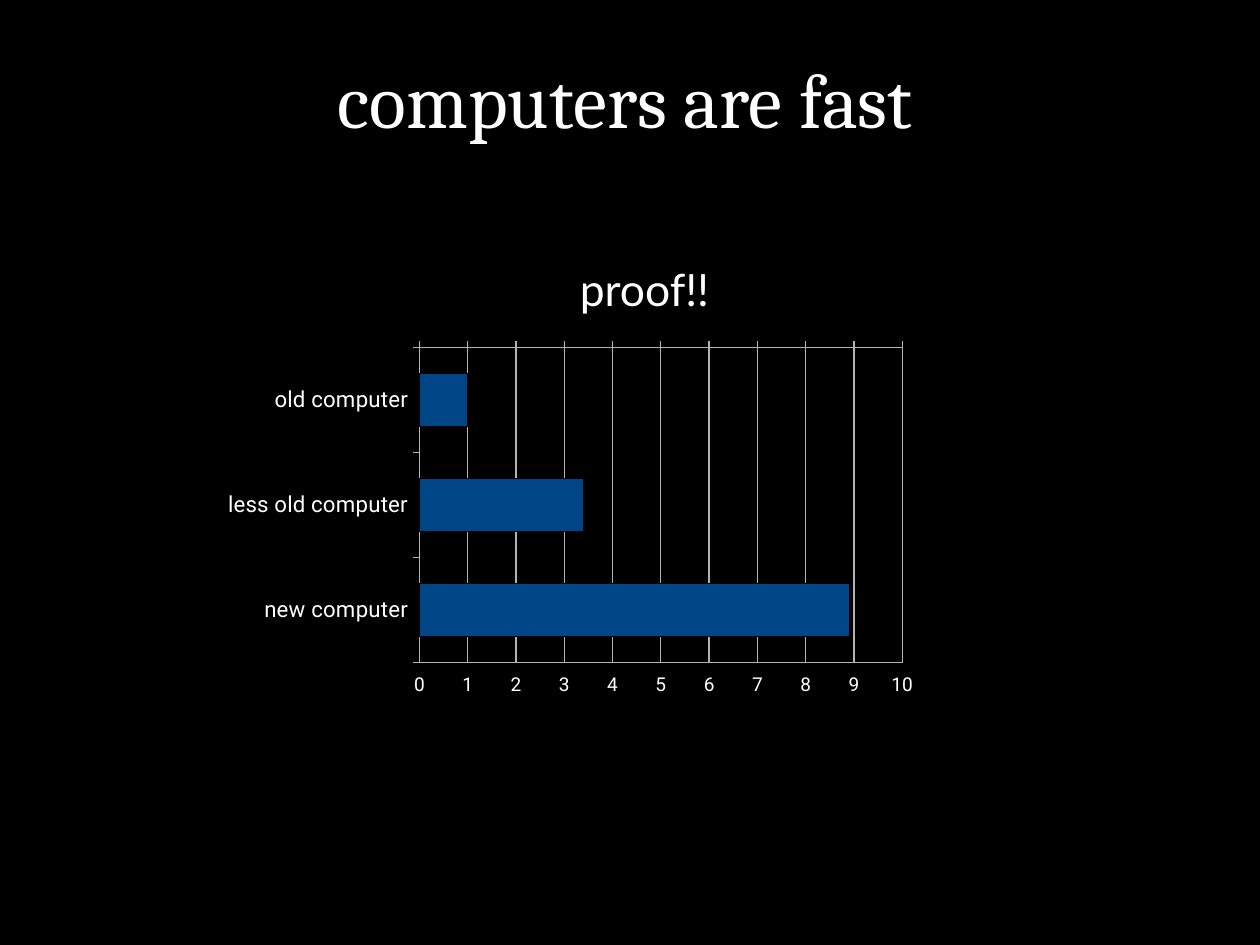
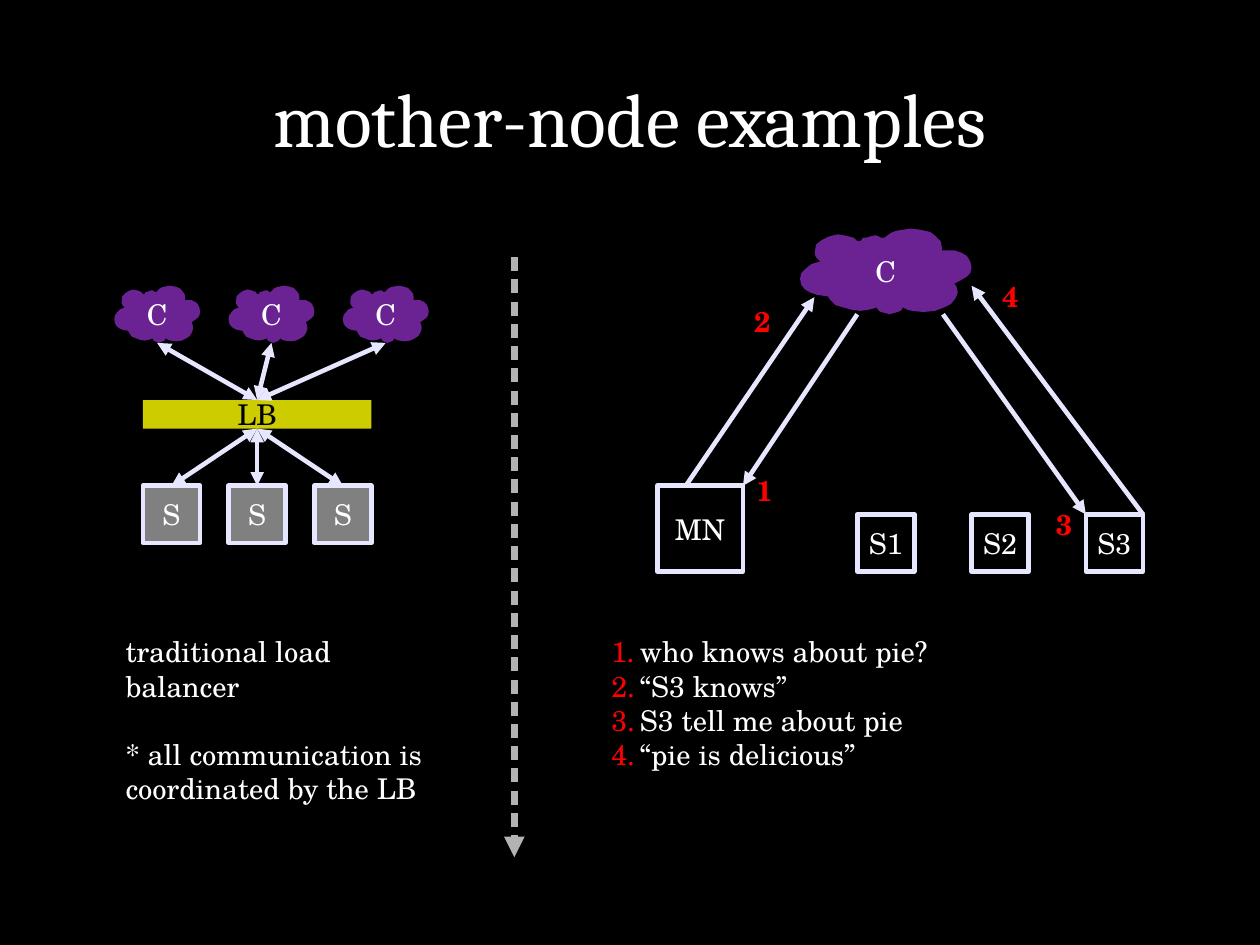
import collections

import lxml.etree
import pptx
import pptx.chart.data
import pptx.dml.color
import pptx.enum.chart
import pptx.enum.shapes
import pptx.enum.text
import pptx.oxml
import pptx.oxml.ns
import pptx.util

Inches = pptx.util.Inches
Pt = pptx.util.Pt
RGBColor = pptx.dml.color.RGBColor
Align = pptx.enum.text.PP_ALIGN
Anchor = pptx.enum.text.MSO_ANCHOR
qn = pptx.oxml.ns.qn

BLACK = RGBColor(0x00, 0x00, 0x00)
WHITE = RGBColor(0xFF, 0xFF, 0xFF)
RED = RGBColor(0xFF, 0x00, 0x00)
PURPLE = RGBColor(0x6B, 0x23, 0x94)
YELLOW = RGBColor(0xCC, 0xCC, 0x00)
GRAY = RGBColor(0x80, 0x80, 0x80)
SILVER = RGBColor(0xB3, 0xB3, 0xB3)
LAVENDER = RGBColor(0xE6, 0xE6, 0xFF)
BLUE = RGBColor(0x00, 0x45, 0x86)

SLIDE_SIZE = {"slide_width": pptx.util.Cm(28), "slide_height": pptx.util.Cm(21)}
GRID = 0.25
LINE_WIDTH = 2.89
BODY = {"name": "TeX Gyre Schola", "size": Pt(18)}
TITLE = {"name": "Cambria", "size": Pt(48)}
CAPTION = {"name": "Lato", "size": Pt(28)}
MARK = {**BODY, "bold": True}

CLOUD_SIZE = (150, 75)
CLOUD = [
    (135, 48), (137, 51), (138, 56), (136, 61), (132, 66), (126, 69), (118, 72),
    (108, 73), (98, 72), (94, 71), (90, 69), (88, 72), (85, 73), (82, 74), (78, 75),
    (75, 74), (71, 73), (69, 72), (67, 69), (64, 70), (60, 71), (53, 72), (45, 71),
    (38, 69), (31, 67), (27, 63), (24, 59), (22, 59), (15, 58), (9, 56), (4, 53),
    (1, 49), (0, 44), (1, 39), (5, 35), (10, 31), (17, 29), (18, 29), (16, 27),
    (14, 25), (13, 23), (13, 20), (14, 14), (19, 10), (25, 7), (33, 5), (39, 6),
    (43, 7), (47, 8), (50, 11), (53, 11), (55, 8), (58, 8), (61, 7), (65, 6),
    (67, 6), (69, 7), (71, 8), (74, 8), (79, 4), (84, 2), (90, 1), (97, 0),
    (105, 1), (114, 3), (119, 7), (123, 11), (124, 16), (124, 19), (127, 19),
    (135, 19), (141, 21), (146, 24), (149, 29), (150, 34), (149, 39), (146, 42),
    (141, 45),
]


class Box(collections.namedtuple("Box", "left top width height")):
    def cells(self, column, row, columns=0, rows=0):
        return Box(self.left + column * GRID, self.top + row * GRID,
                   columns * GRID, rows * GRID)

    def share(self, left, top, width, height):
        return Box(self.left + left * self.width, self.top + top * self.height,
                   width * self.width, height * self.height)

    def lengths(self):
        return [Inches(value) for value in self]


PAGE = Box(0, 0, 11.02, 8.27)


def set_values(target, values):
    for name, value in values.items():
        setattr(target, name, value)


def write(shape, lines, font, color, align=Align.LEFT, space=0, numbered=False, **frame):
    set_values(shape.text_frame, {"word_wrap": True, **frame})
    for index, line in enumerate(lines):
        if index:
            paragraph = shape.text_frame.add_paragraph()
        else:
            paragraph = shape.text_frame.paragraphs[0]
        paragraph.text = line
        paragraph.alignment = align
        if index and space:
            paragraph.space_before = Pt(space)
        if numbered:
            number(paragraph)
        set_values(paragraph.runs[0].font, font)
        paragraph.runs[0].font.color.rgb = color


def number(paragraph):
    properties = paragraph._p.get_or_add_pPr()
    indent = Inches(GRID)
    properties.set("marL", str(indent))
    properties.set("indent", str(-indent))
    bullet_color = lxml.etree.SubElement(properties, qn("a:buClr"))
    lxml.etree.SubElement(bullet_color, qn("a:srgbClr"), val=str(RED))
    lxml.etree.SubElement(properties, qn("a:buAutoNum"), type="arabicPeriod")


def add_text(slide, box, lines, font=BODY, color=WHITE, **options):
    shape = slide.shapes.add_textbox(*box.lengths())
    write(shape, lines, font, color, **options)


def add_slide(presentation, title, title_box):
    slide = presentation.slides.add_slide(presentation.slide_layouts[6])
    slide.background.fill.solid()
    slide.background.fill.fore_color.rgb = BLACK
    add_text(slide, title_box, [title], TITLE, align=Align.CENTER,
             vertical_anchor=Anchor.MIDDLE)
    return slide


def paint(shape, label, fill=None, line=None, color=WHITE):
    shape.shadow.inherit = False
    if fill is None:
        shape.fill.background()
    else:
        shape.fill.solid()
        shape.fill.fore_color.rgb = fill
    if line is None:
        shape.line.fill.background()
    else:
        shape.line.color.rgb = line
        shape.line.width = Pt(LINE_WIDTH)
    write(shape, [label], BODY, color, align=Align.CENTER, margin_left=0, margin_right=0,
          vertical_anchor=Anchor.MIDDLE)
    return shape


def add_node(slide, box, label, **colors):
    rectangle = pptx.enum.shapes.MSO_SHAPE.RECTANGLE
    return paint(slide.shapes.add_shape(rectangle, *box.lengths()), label, **colors)


def add_cloud(slide, box):
    left, top, width, height = box.lengths()
    scale = (width / CLOUD_SIZE[0], height / CLOUD_SIZE[1])
    builder = slide.shapes.build_freeform(*CLOUD[0], scale=scale)
    builder.add_line_segments(CLOUD[1:], close=True)
    paint(builder.convert_to_shape(left, top), "C", fill=PURPLE)


def add_arrow(slide, start, end, color=LAVENDER, width=LINE_WIDTH, double=False, dash=None):
    connector = slide.shapes.add_connector(
        pptx.enum.shapes.MSO_CONNECTOR.STRAIGHT,
        *start.lengths()[:2], *end.lengths()[:2])
    connector.line.color.rgb = color
    connector.line.width = Pt(width)
    line = connector.line._get_or_add_ln()
    if dash:
        pattern = lxml.etree.SubElement(line, qn("a:custDash"))
        lxml.etree.SubElement(pattern, qn("a:ds"), d=dash[0], sp=dash[1])
    for end_name in ["a:headEnd", "a:tailEnd"] if double else ["a:tailEnd"]:
        lxml.etree.SubElement(line, qn(end_name), type="triangle")
    lxml.etree.SubElement(connector._element.spPr, qn("a:effectLst"))
    return connector


def shape_properties(line):
    return pptx.oxml.parse_xml(
        '<c:spPr xmlns:c="http://schemas.openxmlformats.org/drawingml/2006/chart"'
        ' xmlns:a="http://schemas.openxmlformats.org/drawingml/2006/main">'
        f'<a:noFill/><a:ln w="0">{line}</a:ln></c:spPr>')


def style_plot_area(chart, **shares):
    space = chart._chartSpace
    space.find(qn("c:chart")).addnext(shape_properties("<a:noFill/>"))
    area = space.find(".//" + qn("c:plotArea"))
    area.append(shape_properties(
        f'<a:solidFill><a:srgbClr val="{SILVER}"/></a:solidFill>'))
    for old in area.findall(qn("c:layout")):
        area.remove(old)
    layout = lxml.etree.Element(qn("c:layout"))
    area.insert(0, layout)
    manual = lxml.etree.SubElement(layout, qn("c:manualLayout"))
    settings = {"layoutTarget": "inner", "xMode": "edge", "yMode": "edge", **shares}
    for name, value in settings.items():
        lxml.etree.SubElement(manual, qn("c:" + name), val=str(value))


def add_speed_chart(slide, box):
    enums = pptx.enum.chart
    data = pptx.chart.data.CategoryChartData()
    data.categories = ["old computer", "less old computer", "new computer"]
    data.add_series("Series 1", [1, 3.4, 8.9])
    chart = slide.shapes.add_chart(
        enums.XL_CHART_TYPE.BAR_CLUSTERED, *box.lengths(), data).chart
    set_values(chart, {"has_title": False, "has_legend": False})
    set_values(chart.font, {"name": "Arial", "size": Pt(10)})
    set_values(chart.plots[0], {"gap_width": 100, "vary_by_categories": False})

    series = chart.plots[0].series[0]
    series.format.fill.solid()
    series.format.fill.fore_color.rgb = BLUE
    lines = [(series.format.line, BLACK)]

    shared = {"major_tick_mark": enums.XL_TICK_MARK.OUTSIDE,
              "minor_tick_mark": enums.XL_TICK_MARK.NONE}
    axes = [
        (chart.category_axis, 14, {
            "reverse_order": True, "has_major_gridlines": False,
            "tick_label_position": enums.XL_TICK_LABEL_POSITION.LOW}),
        (chart.value_axis, 12, {
            "minimum_scale": 0, "maximum_scale": 10, "major_unit": 1,
            "has_major_gridlines": True,
            "tick_label_position": enums.XL_TICK_LABEL_POSITION.HIGH}),
    ]
    for axis, size, values in axes:
        set_values(axis, {**shared, **values})
        set_values(axis.tick_labels.font, {"name": "Roboto", "size": Pt(size)})
        axis.tick_labels.font.color.rgb = WHITE
        lines.append((axis.format.line, SILVER))
    lines.append((chart.value_axis.major_gridlines.format.line, SILVER))
    for line, color in lines:
        line.color.rgb = color
        line.width = Pt(0)

    style_plot_area(chart, x=0.25, y=0.19, w=0.59, h=0.69)
    add_text(slide, box.share(0.37, -0.01, 0.31, 0.16), ["proof!!"], CAPTION,
             align=Align.CENTER)


def add_load_balancer(slide, box):
    balancer = add_node(slide, box.cells(1, 4, 8, 1), "LB", fill=YELLOW, color=BLACK)
    for index in range(3):
        cloud_column, server_column = 4 * index, 1 + 3 * index
        add_cloud(slide, box.cells(cloud_column, 0, 3, 2))
        server = add_node(slide, box.cells(server_column, 7, 2, 2), "S",
                          fill=GRAY, line=LAVENDER)
        client_link = add_arrow(slide, box.cells(cloud_column + 1.5, 2),
                                box.cells(5, 4), double=True)
        client_link.end_connect(balancer, 0)
        server_link = add_arrow(slide, box.cells(5, 5),
                                box.cells(server_column + 1, 7), double=True)
        server_link.begin_connect(balancer, 2)
        server_link.end_connect(server, 0)


def add_mother_node(slide, box):
    add_cloud(slide, box.cells(5, 0, 6, 3))
    add_node(slide, box.cells(0, 9, 3, 3), "MN", line=LAVENDER)
    for index in range(3):
        add_node(slide, box.cells(7 + 4 * index, 10, 2, 2), f"S{index + 1}", line=LAVENDER)
    steps = [
        ((7, 3), (3, 9), (3.08, 8.36)),
        ((1, 9), (5.5, 2.4), (3, 2.44)),
        ((10, 3), (15, 10), (13.56, 9.56)),
        ((17, 10), (11, 2), (11.68, 1.56)),
    ]
    for step, (start, end, mark) in enumerate(steps, 1):
        add_arrow(slide, box.cells(*start), box.cells(*end))
        add_text(slide, box.cells(*mark, 2, 1.6), [str(step)], MARK, RED)


def build_speed_slide(presentation):
    slide = add_slide(presentation, "computers are fast", Box(0.51, 0.22, 9.92, 1.28))
    add_speed_chart(slide, Box(1.88, 2.28, 7.16, 4))


def build_node_slide(presentation):
    slide = add_slide(presentation, "mother-node examples", Box(0.55, 0.38, 9.92, 1.28))
    add_load_balancer(slide, PAGE.cells(4, 10, 11, 9))
    add_mother_node(slide, PAGE.cells(23, 8, 17, 12))
    add_arrow(slide, PAGE.cells(18, 9), PAGE.cells(18, 30), SILVER, 4.31,
              dash=("205000", "120000"))
    add_text(slide, PAGE.cells(21, 22, 21, 5.2), [
        "who knows about pie?", "“S3 knows”", "S3 tell me about pie",
        "“pie is delicious”"], numbered=True)
    add_text(slide, PAGE.cells(4, 22, 12, 5.2), [
        "traditional load balancer",
        "* all communication is coordinated by the LB"], space=21.6)


def main():
    presentation = pptx.Presentation()
    set_values(presentation, SLIDE_SIZE)
    build_speed_slide(presentation)
    build_node_slide(presentation)
    presentation.save("out.pptx")


if __name__ == "__main__":
    main()
